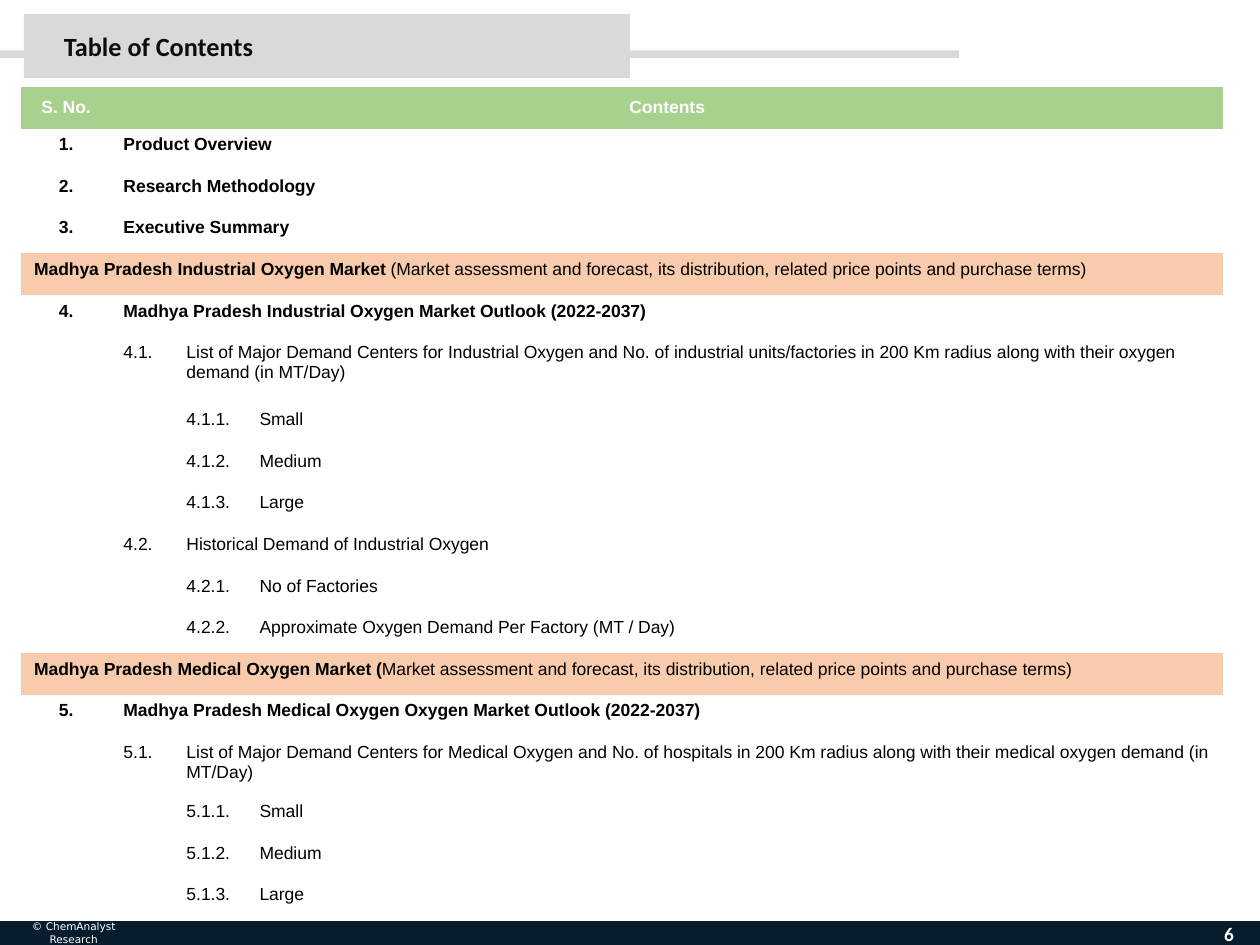
"""Build a table of contents slide with numbered levels and market banners."""
from dataclasses import dataclass

from lxml.etree import SubElement
from pptx import Presentation
from pptx.dml.color import RGBColor
from pptx.enum.shapes import MSO_SHAPE
from pptx.enum.text import MSO_ANCHOR, PP_ALIGN
from pptx.oxml.ns import qn
from pptx.util import Inches, Pt


@dataclass(frozen=True)
class Theme:
    gray: str = "D9D9D9"
    navy: str = "071C2C"
    green: str = "A9D18E"
    peach: str = "F8CBAD"
    white: str = "FFFFFF"
    black: str = "000000"
    title: str = "0D0D0D"
    title_size: int = 15
    number_size: int = 11
    table_size: int = 10
    copyright_size: int = 6
    table_font: str = "Arial"
    title_font: str = "Calibri"
    copyright_font: str = "DejaVu Sans"
    table_style: str = "{2D5ABB26-0587-4C30-8999-92F81FD0307C}"


THEME = Theme()
HEADER = ("S. No.", "Contents")
SCOPE = "Market assessment and forecast, its distribution, related price points and purchase terms)"
BANNER = ""
ROWS = [
    ("1.", "Product Overview"),
    ("2.", "Research Methodology"),
    ("3.", "Executive Summary"),
    (BANNER, ("Madhya Pradesh Industrial Oxygen Market ", "(" + SCOPE)),
    ("4.", "Madhya Pradesh Industrial Oxygen Market Outlook (2022-2037)"),
    ("4.1.", "List of Major Demand Centers for Industrial Oxygen and No. of industrial "
             "units/factories in 200 Km radius along with their oxygen demand (in MT/Day)"),
    ("4.1.1.", "Small"),
    ("4.1.2.", "Medium"),
    ("4.1.3.", "Large"),
    ("4.2.", "Historical Demand of Industrial Oxygen"),
    ("4.2.1.", "No of Factories"),
    ("4.2.2.", "Approximate Oxygen Demand Per Factory (MT / Day)"),
    (BANNER, ("Madhya Pradesh Medical Oxygen Market (", SCOPE)),
    ("5.", "Madhya Pradesh Medical Oxygen Oxygen Market Outlook (2022-2037)"),
    ("5.1.", "List of Major Demand Centers for Medical Oxygen and No. of hospitals in "
             "200 Km radius along with their medical oxygen demand (in MT/Day)"),
    ("5.1.1.", "Small"),
    ("5.1.2.", "Medium"),
    ("5.1.3.", "Large"),
]
COLUMN_WIDTHS = (0.71, 0.5, 0.58, 7.75)
TABLE_BOX = (0.17, 0.69, sum(COLUMN_WIDTHS), 6.62)
TALL_ROWS = {"4.1.": 0.53, "5.1.": 0.47}
ROW_HEIGHT = (TABLE_BOX[3] - sum(TALL_ROWS.values())) / (len(ROWS) + 1 - len(TALL_ROWS))
BARS = [
    ((0, 0.4, 7.61, 0.06), THEME.gray),
    ((0.19, 0.11, 4.81, 0.51), THEME.gray),
    ((0, 7.31, 10, 0.19), THEME.navy),
]
LABELS = [
    ("© ChemAnalyst Research", (0, 7.33, 1.17, 0.15), PP_ALIGN.CENTER,
     (THEME.copyright_font, THEME.copyright_size, THEME.white, False)),
    ("6", (9.51, 7.21, 0.49, 0.4), PP_ALIGN.CENTER,
     (THEME.title_font, THEME.number_size, THEME.white, True)),
    ("Table of Contents", (0.41, 0.19, 4.37, 0.35), PP_ALIGN.LEFT,
     (THEME.title_font, THEME.title_size, THEME.title, True)),
]


def style_run(run, name, size, color, bold):
    run.font.name = name
    run.font.size = Pt(size)
    run.font.color.rgb = RGBColor.from_string(color)
    run.font.bold = bold


def add_bar(slide, box, color):
    shape = slide.shapes.add_shape(MSO_SHAPE.RECTANGLE, *map(Inches, box))
    shape.shadow.inherit = False
    shape.fill.solid()
    shape.fill.fore_color.rgb = RGBColor.from_string(color)
    shape.line.fill.background()


def add_label(slide, text, box, alignment, style):
    text_frame = slide.shapes.add_textbox(*map(Inches, box)).text_frame
    text_frame.word_wrap = True
    text_frame.vertical_anchor = MSO_ANCHOR.MIDDLE
    text_frame.text = text
    paragraph = text_frame.paragraphs[0]
    paragraph.alignment = alignment
    style_run(paragraph.runs[0], *style)


def write_cell(cell, parts, color=THEME.black, alignment=PP_ALIGN.LEFT):
    paragraph = cell.text_frame.paragraphs[0]
    paragraph.alignment = alignment
    for text, bold in parts:
        run = paragraph.add_run()
        run.text = text
        style_run(run, THEME.table_font, THEME.table_size, color, bold)


def fill_row(table, index, color):
    for cell in table.rows[index].cells:
        cell.fill.solid()
        cell.fill.fore_color.rgb = RGBColor.from_string(color)


def add_header(table):
    table.cell(0, 1).merge(table.cell(0, 3))
    fill_row(table, 0, THEME.green)
    for column, text in enumerate(HEADER):
        cell = table.cell(0, column)
        cell.vertical_anchor = MSO_ANCHOR.MIDDLE
        write_cell(cell, [(text, True)], THEME.white, PP_ALIGN.CENTER)


def add_row(table, index, number, content):
    level = number.count(".")
    if level < 3:
        table.cell(index, level).merge(table.cell(index, 3))
    if number == BANNER:
        fill_row(table, index, THEME.peach)
        write_cell(table.cell(index, 0), zip(content, (True, False)))
        return
    bold = level == 1
    alignment = PP_ALIGN.CENTER if bold else PP_ALIGN.LEFT
    write_cell(table.cell(index, level - 1), [(number, bold)], alignment=alignment)
    write_cell(table.cell(index, level), [(content, bold)])


def add_contents(slide):
    table = slide.shapes.add_table(
        len(ROWS) + 1, len(COLUMN_WIDTHS), *map(Inches, TABLE_BOX)).table
    table.first_row = table.horz_banding = False
    table._tbl.tblPr.find(qn("a:tableStyleId")).text = THEME.table_style
    for column, width in zip(table.columns, COLUMN_WIDTHS):
        column.width = Inches(width)
    for row, number in zip(table.rows, [HEADER[0]] + [number for number, _ in ROWS]):
        row.height = Inches(TALL_ROWS.get(number, ROW_HEIGHT))
    for cell in table.iter_cells():
        cell.fill.background()
    add_header(table)
    for index, (number, content) in enumerate(ROWS, start=1):
        add_row(table, index, number, content)
    for cell in table.iter_cells():
        if not cell.text_frame.text:
            paragraph = cell.text_frame.paragraphs[0]
            SubElement(paragraph._p, qn("a:endParaRPr"), sz=str(THEME.table_size * 100))


def main():
    presentation = Presentation()
    presentation.slide_width = Inches(10)
    presentation.slide_height = Inches(7.5)
    slide = presentation.slides.add_slide(presentation.slide_layouts[6])
    for box, color in BARS:
        add_bar(slide, box, color)
    for label in LABELS:
        add_label(slide, *label)
    add_contents(slide)
    presentation.save("out.pptx")


if __name__ == "__main__":
    main()
